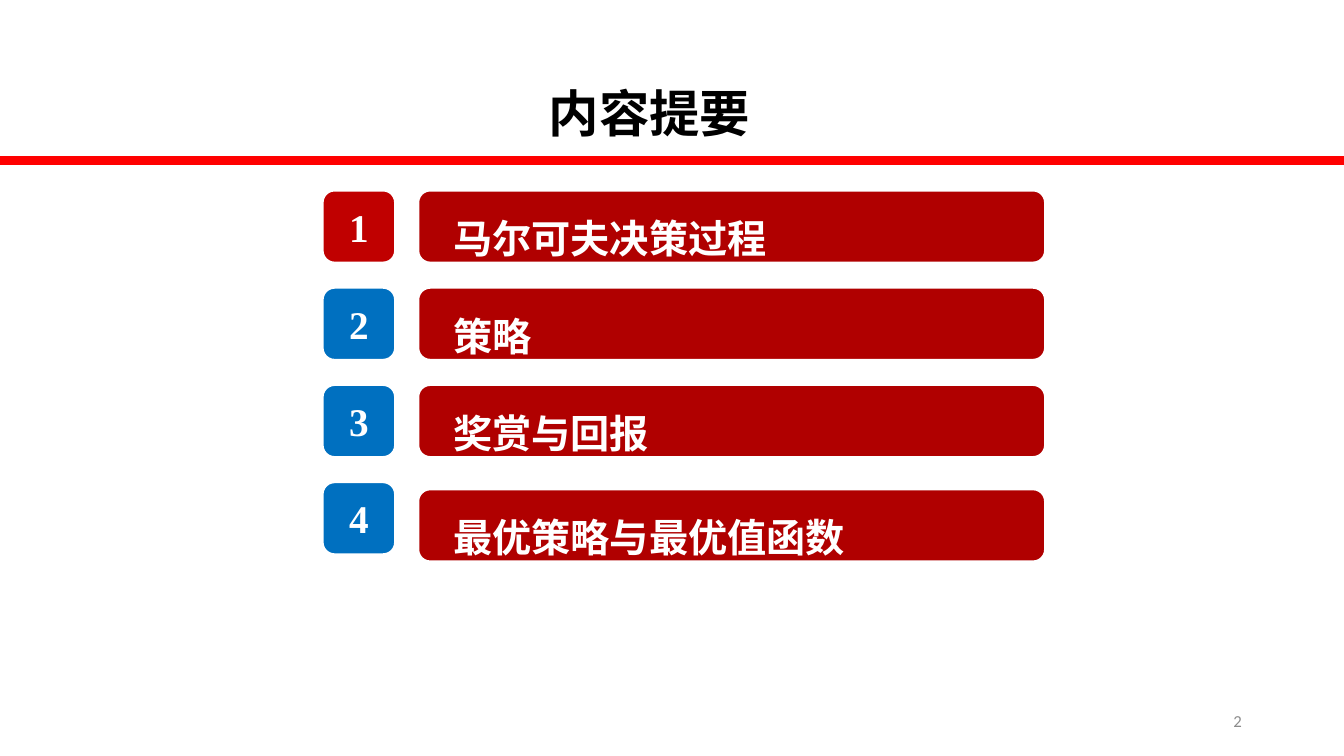
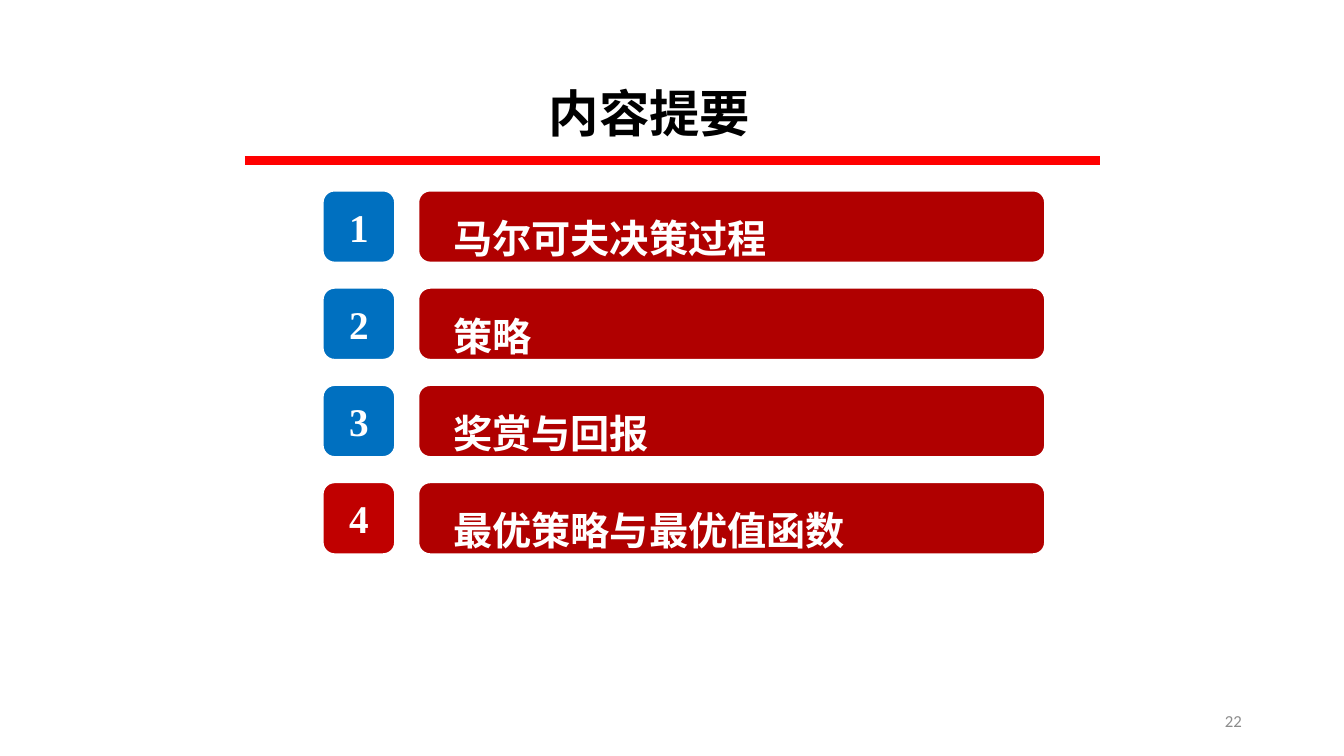
from dataclasses import dataclass

from lxml.etree import SubElement
from pptx import Presentation
from pptx.dml.color import RGBColor
from pptx.enum.shapes import MSO_CONNECTOR, MSO_SHAPE
from pptx.enum.text import MSO_ANCHOR, PP_ALIGN
from pptx.oxml.ns import qn
from pptx.util import Cm, Pt


@dataclass(frozen=True)
class Theme:
    """Colours, fonts and type sizes of the deck."""
    ink: str = "000000"
    white: str = "FFFFFF"
    rule: str = "FF0000"
    bar: str = "B00000"
    active: str = "C00000"
    idle: str = "0070C0"
    grey: str = "8C8C8C"
    han: str = "Noto Sans CJK SC"
    sans: str = "Arial"
    serif: str = "Times New Roman"
    foot: str = "Calibri"
    title: int = 36
    item: int = 28
    small: int = 12


WIDTH, HEIGHT = 33.87, 19.05
TOP, PITCH = 4.8, 2.45
TOPICS = ["马尔可夫决策过程", "策略", "奖赏与回报", "最优策略与最优值函数"]


class Deck:
    """Draws styled elements on the current slide."""

    def __init__(self, theme):
        self.theme = theme
        self.show = Presentation()
        self.show.slide_width = Cm(WIDTH)
        self.show.slide_height = Cm(HEIGHT)
        self.slide = None

    def page(self):
        """Start a new blank slide."""
        self.slide = self.show.slides.add_slide(self.show.slide_layouts[6])

    def words(self, shape, text, size, face, color, align, bold=True):
        """Put one styled run into a shape and return its paragraph."""
        frame = shape.text_frame
        frame.word_wrap = True
        frame.vertical_anchor = MSO_ANCHOR.MIDDLE
        para = frame.paragraphs[0]
        para.alignment = align
        run = para.add_run()
        run.text = text
        font = run.font
        font.size, font.bold, font.name = Pt(size), bold, face
        font.color.rgb = RGBColor.from_string(color)
        east = SubElement(run._r.get_or_add_rPr(), qn("a:ea"))
        east.set("typeface", self.theme.han)
        return para

    def label(self, box, *style, **more):
        """Add a plain text box."""
        shape = self.slide.shapes.add_textbox(*map(Cm, box))
        self.words(shape, *style, **more)

    def title(self, text):
        """Add the slide title."""
        look = self.theme
        self.label((12.42, 1.93, 7.9, 1.8), text, look.title, look.han,
                   look.ink, PP_ALIGN.CENTER)

    def number(self, text):
        """Add the page number."""
        look = self.theme
        self.label((23.93, 17.65, 7.62, 1.02), text, look.small, look.foot,
                   look.grey, PP_ALIGN.RIGHT, bold=False)

    def rule(self, left, right):
        """Draw the red line below the title."""
        y = Cm(4.04)
        line = self.slide.shapes.add_connector(
            MSO_CONNECTOR.STRAIGHT, Cm(left), y, Cm(right), y)
        line.line.color.rgb = RGBColor.from_string(self.theme.rule)
        line.line.width = Pt(6)
        SubElement(line._element.spPr, qn("a:effectLst"))

    def block(self, left, top, width, fill):
        """Add a rounded block with a white edge."""
        shape = self.slide.shapes.add_shape(
            MSO_SHAPE.ROUNDED_RECTANGLE, Cm(left), Cm(top), Cm(width), Cm(1.82))
        shape.shadow.inherit = False
        shape.fill.solid()
        shape.fill.fore_color.rgb = RGBColor.from_string(fill)
        shape.line.color.rgb = RGBColor.from_string(self.theme.white)
        shape.line.width = Pt(1.5)
        return shape

    def badge(self, top, text, active):
        """Add a numbered badge, red when active."""
        look = self.theme
        shape = self.block(8.13, top, 1.83, look.active if active else look.idle)
        self.words(shape, text, look.item, look.serif, look.white, PP_ALIGN.CENTER)

    def bar(self, top, text):
        """Add a topic bar."""
        look = self.theme
        shape = self.block(10.54, top, 15.8, look.bar)
        shape.text_frame.margin_left = Cm(0.8)
        para = self.words(shape, text, look.item, look.sans, look.white,
                          PP_ALIGN.LEFT)
        para.line_spacing = 1.5

    def agenda(self, active, page, left, right, drop=0):
        """Build an agenda slide; drop lowers the last bar."""
        self.page()
        self.title("内容提要")
        self.rule(left, right)
        for place, topic in enumerate(TOPICS, 1):
            top = TOP + PITCH * (place - 1)
            self.bar(top + (drop if place == len(TOPICS) else 0), topic)
            self.badge(top, str(place), place == active)
        self.number(page)


def main():
    """Build and save both agenda slides."""
    deck = Deck(Theme())
    deck.agenda(1, "2", 0, WIDTH, drop=0.18)
    deck.agenda(4, "22", 6.17, 27.71)
    deck.show.save("out.pptx")


if __name__ == "__main__":
    main()
